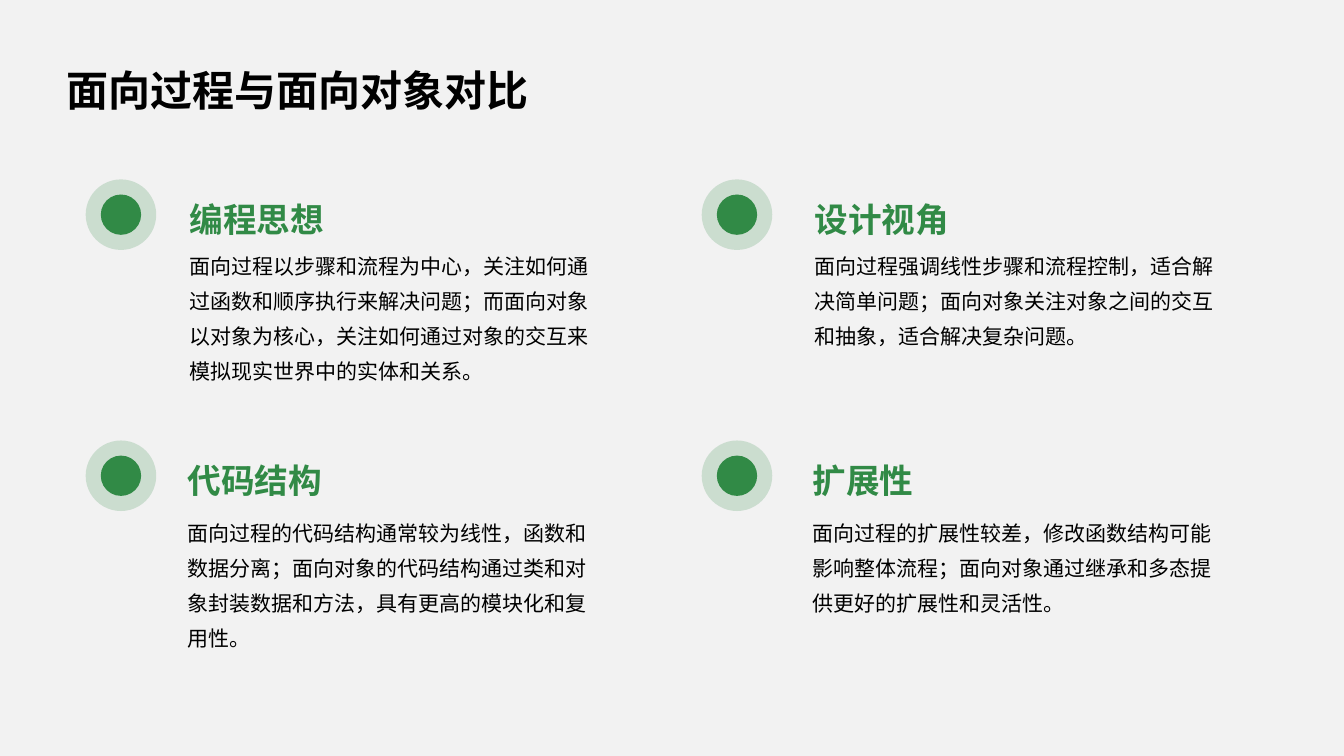
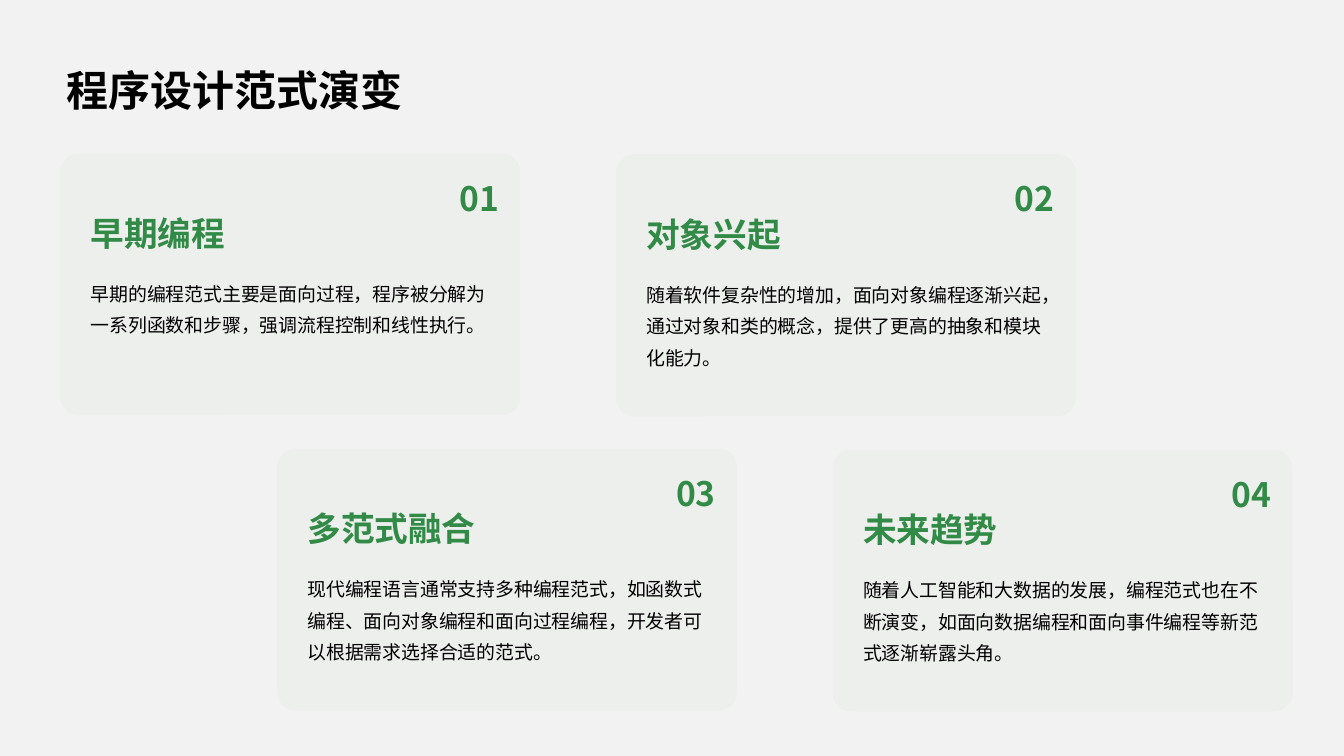
from dataclasses import dataclass
from typing import NamedTuple

from lxml.etree import SubElement
from pptx import Presentation
from pptx.dml.color import RGBColor
from pptx.enum.shapes import MSO_SHAPE as Kind
from pptx.enum.text import MSO_ANCHOR as Anchor, MSO_AUTO_SIZE as Fit, PP_ALIGN as Align
from pptx.oxml.ns import qn
from pptx.util import Inches, Pt


@dataclass(frozen=True)
class Theme:
    font: str = "Noto Sans CJK SC"
    back: str = "F2F2F2"
    green: str = "318A46"
    card: str = "EDEFED"
    ink: str = "000000"
    title: float = 30
    head: float = 24
    body: float = 15
    small: float = 13.5


class Box(NamedTuple):
    x: float
    y: float
    w: float
    h: float


class Item(NamedTuple):
    head: str
    body: str


THEME = Theme()
PAD = (0.14, 0.14, 0.06, 0.14)
BARE = (0, 0, 0, 0)
TITLE = Box(0.52, 0.29, 12.29, 1)

POINTS = (
    Item("编程思想", "面向过程以步骤和流程为中心，关注如何通过函数和顺序执行来解决问题；而面向对象以对象为核心，关注如何通过对象的交互来模拟现实世界中的实体和关系。"),
    Item("设计视角", "面向过程强调线性步骤和流程控制，适合解决简单问题；面向对象关注对象之间的交互和抽象，适合解决复杂问题。"),
    Item("代码结构", "面向过程的代码结构通常较为线性，函数和数据分离；面向对象的代码结构通过类和对象封装数据和方法，具有更高的模块化和复用性。"),
    Item("扩展性", "面向过程的扩展性较差，修改函数结构可能影响整体流程；面向对象通过继承和多态提供更好的扩展性和灵活性。"),
)
STAGES = (
    Item("早期编程", "早期的编程范式主要是面向过程，程序被分解为一系列函数和步骤，强调流程控制和线性执行。"),
    Item("对象兴起", "随着软件复杂性的增加，面向对象编程逐渐兴起，通过对象和类的概念，提供了更高的抽象和模块化能力。"),
    Item("多范式融合", "现代编程语言通常支持多种编程范式，如函数式编程、面向对象编程和面向过程编程，开发者可以根据需求选择合适的范式。"),
    Item("未来趋势", "随着人工智能和大数据的发展，编程范式也在不断演变，如面向数据编程和面向事件编程等新范式逐渐崭露头角。"),
)


def place(shape, box: Box) -> None:
    shape.left, shape.top, shape.width, shape.height = map(Inches, box)


def write(shape, text: str, *, size: float, color: str = THEME.ink, bold: bool = False,
          gap: float = 1.4, pad: tuple = BARE, anchor=Anchor.TOP, align=Align.LEFT) -> None:
    """Fill a shape's text frame with one formatted paragraph."""
    frame = shape.text_frame
    frame.word_wrap = True
    frame.auto_size = Fit.NONE
    frame.vertical_anchor = anchor
    (frame.margin_left, frame.margin_top,
     frame.margin_right, frame.margin_bottom) = map(Inches, pad)
    para = frame.paragraphs[0]
    para.alignment = align
    para.line_spacing = gap
    para.space_before = Pt(0)
    run = para.add_run()
    run.text = text
    font = run.font
    font.size, font.bold, font.name = Pt(size), bold, THEME.font
    font.color.rgb = RGBColor.from_string(color)
    props = run._r.get_or_add_rPr()
    props.set("lang", "zh-CN")
    SubElement(props, qn("a:ea")).set("typeface", THEME.font)


def label(slide, box: Box, text: str, **form) -> None:
    write(slide.shapes.add_textbox(*map(Inches, box)), text, **form)


def heading(slide, box: Box, text: str, **form) -> None:
    label(slide, box, text, size=THEME.head, color=THEME.green, bold=True, gap=1.2, **form)


def draw(slide, kind: Kind, box: Box, color: str, alpha: int = 100):
    """Add a filled shape without outline; alpha is opacity in percent."""
    shape = slide.shapes.add_shape(kind, *map(Inches, box))
    shape.shadow.inherit = False
    shape.line.fill.background()
    shape.fill.solid()
    shape.fill.fore_color.rgb = RGBColor.from_string(color)
    if alpha < 100:
        tint = shape.element.spPr.find(".//" + qn("a:srgbClr"))
        SubElement(tint, qn("a:alpha")).set("val", str(alpha * 1000))
    return shape


def begin(deck, title: str):
    """Add a slide with its title."""
    slide = deck.slides.add_slide(deck.slide_layouts[5])
    place(slide.shapes.title, TITLE)
    write(slide.shapes.title, title, size=THEME.title, bold=True, pad=PAD, anchor=Anchor.MIDDLE)
    return slide


def point(slide, item: Item, row: int, col: int) -> None:
    """Draw a ringed dot with its heading and text."""
    x, y = 0.85 + 6.11 * col, 1.78 + 2.59 * row
    draw(slide, Kind.OVAL, Box(x, y, 0.7, 0.7), THEME.green, alpha=20)
    draw(slide, Kind.OVAL, Box(x + 0.15, y + 0.15, 0.4, 0.4), THEME.green)
    left = 1.74 + 6.2 * col - 0.02 * row
    heading(slide, Box(left, y - 0.03, 4.27, 0.76), item.head, pad=PAD, anchor=Anchor.BOTTOM)
    label(slide, Box(left, 2.27 + 2.65 * row, 4.27, 1.68), item.body, size=THEME.body, pad=PAD)


def stage(slide, item: Item, row: int, col: int) -> None:
    """Draw a numbered card; the second row is shifted right."""
    x, y = 0.6 + 5.51 * col + 2.15 * row, 1.52 + 2.93 * row + 0.01 * col
    card = draw(slide, Kind.ROUNDED_RECTANGLE, Box(x, y, 4.56, 2.6), THEME.card)
    card.adjustments[0] = 0.07
    heading(slide, Box(x + 0.3, y + 0.48, 3.45, 0.54), item.head, anchor=Anchor.MIDDLE)
    label(slide, Box(x + 0.3, y + 1.19, 3.96, 1.07), item.body, size=THEME.small)
    heading(slide, Box(x + 3.42, y + 0.13, 0.93, 0.54), f"{2 * row + col + 1:02}",
            anchor=Anchor.MIDDLE, align=Align.RIGHT)


def main() -> None:
    deck = Presentation()
    deck.slide_width, deck.slide_height = Inches(13.33), Inches(7.5)
    back = deck.slide_master.background.fill
    back.solid()
    back.fore_color.rgb = RGBColor.from_string(THEME.back)
    for title, items, paint in (
        ("面向过程与面向对象对比", POINTS, point),
        ("程序设计范式演变", STAGES, stage),
    ):
        slide = begin(deck, title)
        for i, item in enumerate(items):
            paint(slide, item, *divmod(i, 2))
    deck.save("out.pptx")


if __name__ == "__main__":
    main()
